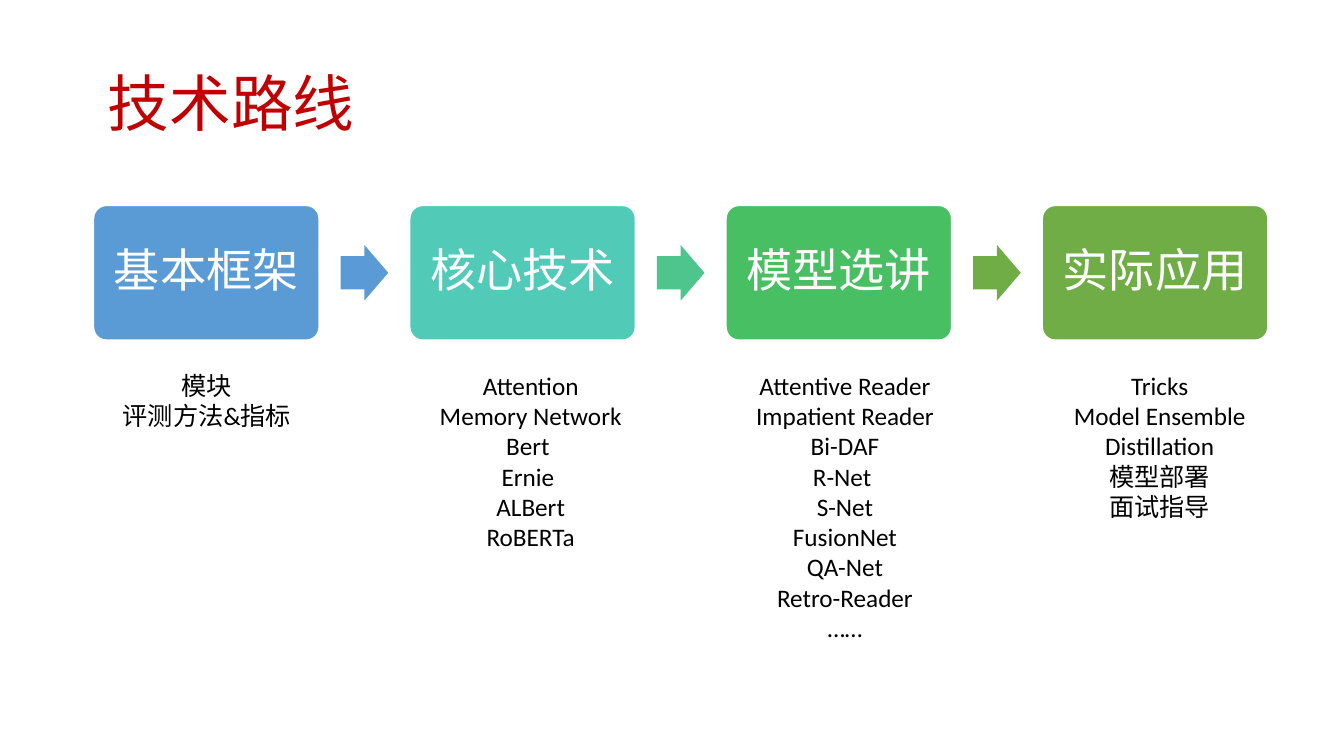
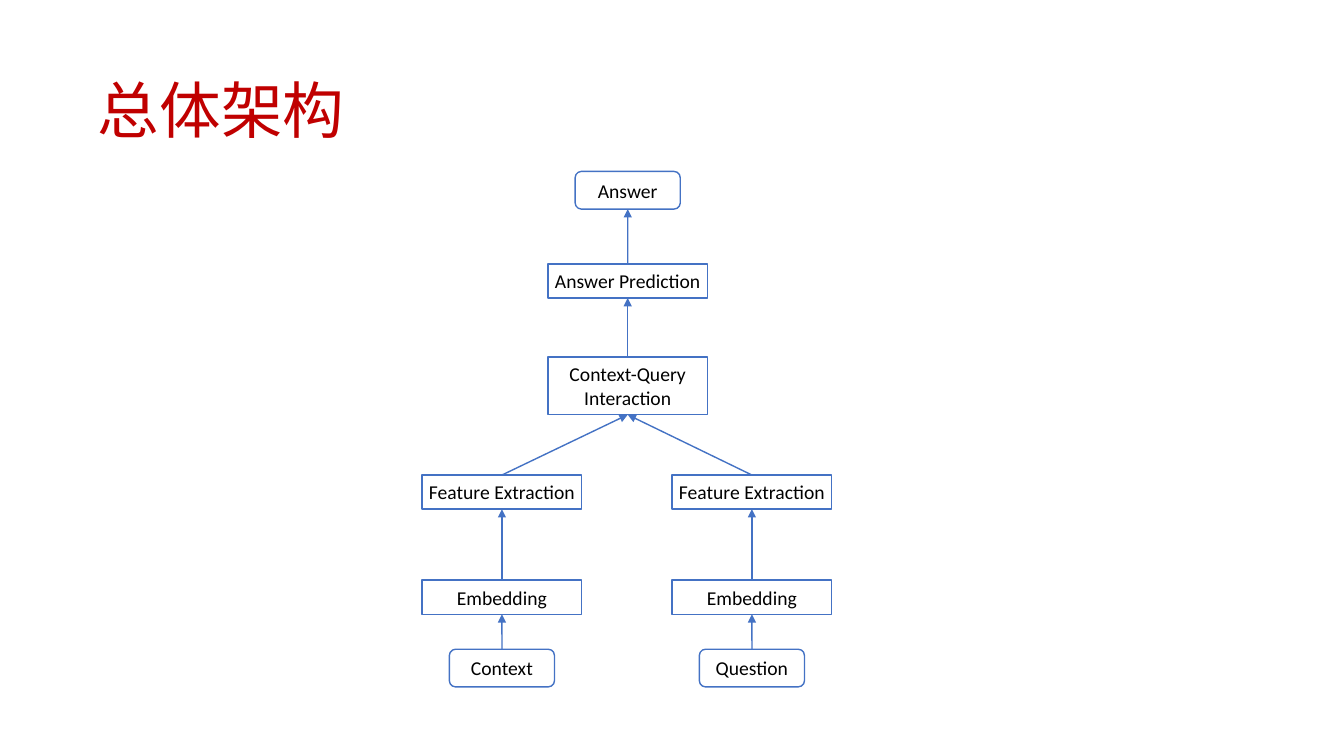
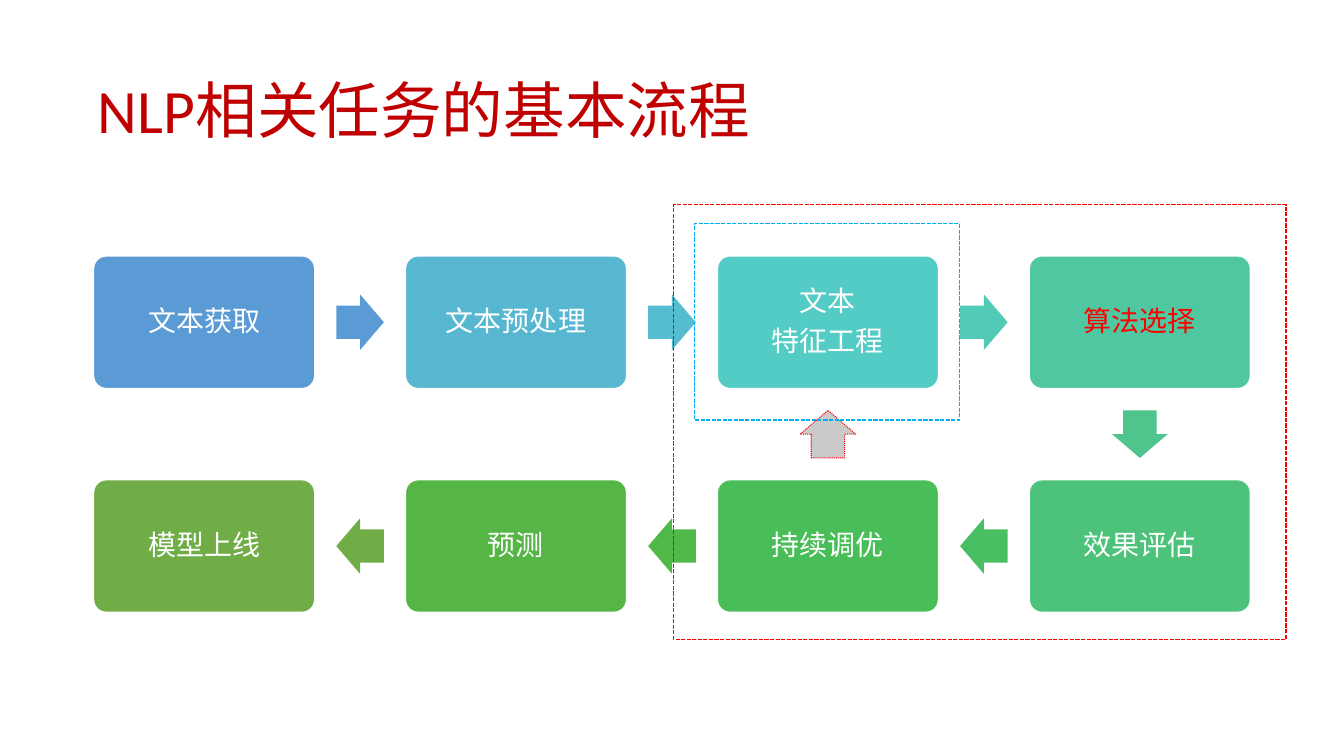
from math import atan2, degrees

from lxml import etree
from pptx import Presentation
from pptx import util as u
from pptx.dml.color import RGBColor
from pptx.enum import dml, shapes, text
from pptx.oxml.ns import qn

FONT = "Calibri"
RED = "C00000"
WHITE = "FFFFFF"
BLACK = "000000"
BLUE = "4472C4"
ROUND = shapes.MSO_SHAPE.ROUNDED_RECTANGLE
RECT = shapes.MSO_SHAPE.RECTANGLE
ARROW = shapes.MSO_SHAPE.RIGHT_ARROW
LEFT, MID = text.PP_ALIGN.LEFT, text.PP_ALIGN.CENTER
DASH, DOT = dml.MSO_LINE.SQUARE_DOT, dml.MSO_LINE.ROUND_DOT


def paint(part, hue):
    part.solid()
    part.fore_color.rgb = RGBColor.from_string(hue)


def write(shape, lines, size, hue, align=MID, anchor=text.MSO_ANCHOR.MIDDLE,
          pad=0.13, pitch=None, gap=0):
    frame = shape.text_frame
    frame.word_wrap = True
    frame.vertical_anchor = anchor
    frame.margin_left = frame.margin_right = u.Cm(pad)
    frame.margin_top = frame.margin_bottom = u.Cm(pad)
    for i, line in enumerate(lines):
        para = frame.add_paragraph() if i else frame.paragraphs[0]
        para.text = line
        para.alignment = align
        para.font.name = FONT
        para.font.size = u.Pt(size)
        para.font.color.rgb = RGBColor.from_string(hue)
        if pitch:
            para.line_spacing = pitch
        if i and gap:
            para.space_before = u.Pt(gap)


def draw(slide, kind, box, fill=None, line=None, width=1, dash=None):
    shape = slide.shapes.add_shape(kind, *map(u.Cm, box))
    shape.shadow.inherit = False
    if fill:
        paint(shape.fill, fill)
    else:
        shape.fill.background()
    if line:
        paint(shape.line.fill, line)
        shape.line.width = u.Pt(width)
        if dash:
            shape.line.dash_style = dash
    else:
        shape.line.fill.background()
    return shape


def label(slide, box, lines, size, hue, **style):
    area = slide.shapes.add_textbox(*map(u.Cm, box))
    write(area, lines, size, hue, **style)


def start(deck, title, left=2.34, top=1.02):
    slide = deck.slides.add_slide(deck.slide_layouts[6])
    label(slide, (left, top, 29.2, 3.68), [title], 44, RED,
          align=LEFT, pitch=0.9)
    return slide


def step(slide, box, lines, fill, size, pad, hue=WHITE):
    card = draw(slide, ROUND, box, fill, WHITE, 2)
    card.adjustments[0] = 0.1
    write(card, lines, size, hue, pad=pad, pitch=0.9, gap=size * 0.35)


def point(slide, first, last, fill, **style):
    wide, high = 1.2, 1.4
    (ax, ay), (bx, by) = [(x + w / 2, y + h / 2)
                          for x, y, w, h in (first, last)]
    box = ((ax + bx - wide) / 2, (ay + by - high) / 2, wide, high)
    arrow = draw(slide, ARROW, box, fill, **style)
    arrow.adjustments[0] = 0.6
    arrow.rotation = degrees(atan2(by - ay, bx - ax))


def chain(slide, boxes, hues):
    for first, last, hue in zip(boxes, boxes[1:], hues):
        point(slide, first, last, hue)


def link(slide, low, high):
    line = slide.shapes.add_connector(shapes.MSO_CONNECTOR.STRAIGHT, 0, 0, 0, 0)
    line.begin_connect(low, 0)
    line.end_connect(high, 2)
    paint(line.line.fill, BLUE)
    line.line.width = u.Pt(1)
    props = line._element.spPr
    etree.SubElement(props.find(qn("a:ln")), qn("a:tailEnd"), type="triangle")
    etree.SubElement(props, qn("a:effectLst"))


def route(deck):
    slide = start(deck, "技术路线", 2.59, 0.84)
    steps = [
        ("基本框架", "5B9BD5", 2.79, ["模块", "评测方法&指标"]),
        ("核心技术", "52CAB8", 10.95,
         ["Attention", "Memory Network", "Bert ", "Ernie ", "ALBert", "RoBERTa"]),
        ("模型选讲", "49BF64", 18.87,
         ["Attentive Reader", "Impatient Reader", "Bi-DAF", "R-Net ", "S-Net",
          "FusionNet", "QA-Net", "Retro-Reader", "……"]),
        ("实际应用", "70AD47", 26.8,
         ["Tricks", "Model Ensemble", "Distillation", "模型部署", "面试指导"]),
    ]
    boxes = [(2.34 + 7.97 * i, 5.16, 5.72, 3.43) for i in range(len(steps))]
    for box, (name, fill, left, items) in zip(boxes, steps):
        step(slide, box, [name], fill, 33, 0.35)
        label(slide, (left, 9.2, 4.85, 0.26 + 0.77 * len(items)), items, 18,
              BLACK, anchor=text.MSO_ANCHOR.TOP)
    chain(slide, boxes, ["5B9BD5", "4DC58D", "70AD47"])


def frame(deck):
    slide = start(deck, "总体架构")

    def node(name, axis, top, kind=RECT, wide=4.02, high=0.86):
        box = draw(slide, kind, (axis - wide / 2, top, wide, high), WHITE, BLUE)
        write(box, [name], 14, BLACK)
        return box

    def pill(name, axis, top):
        return node(name, axis, top, ROUND, 2.65, 0.95)

    mix = node("Context-Query Interaction", 15.82, 9, high=1.45)
    guess = node("Answer Prediction", 15.82, 6.65)
    pairs = [(mix, guess), (guess, pill("Answer", 15.82, 4.32))]
    for name, axis in (("Context", 12.65), ("Question", 18.95)):
        stack = [pill(name, axis, 16.36), node("Embedding", axis, 14.62),
                 node("Feature Extraction", axis, 11.97), mix]
        pairs += zip(stack, stack[1:])
    for low, high in pairs:
        link(slide, low, high)


def flow(deck):
    slide = start(deck, "NLP相关任务的基本流程")
    steps = [
        (["文本获取"], "5B9BD5"), (["文本预处理"], "57B7D1"),
        (["文本", "特征工程"], "53CCC5"), (["算法选择"], "4FC7A0"),
        (["效果评估"], "4CC27B"), (["持续调优"], "48BD58"),
        (["预测"], "55B646"), (["模型上线"], "70AD47"),
    ]
    cells = [(i, 0) for i in range(4)] + [(i, 1) for i in reversed(range(4))]
    boxes = [(2.34 + 7.86 * col, 6.43 + 5.64 * row, 5.61, 3.38)
             for col, row in cells]
    for box, (lines, fill) in zip(boxes, steps):
        hue = "FF0000" if lines == ["算法选择"] else WHITE
        step(slide, box, lines, fill, 20, 0.2, hue)
    chain(slide, boxes, ["5B9BD5", "56BCD0", "52CAB8", "4DC58D",
                         "49BF64", "50B846", "70AD47"])
    point(slide, boxes[5], boxes[2], "CACACA", line="FF0000", width=0.75,
          dash=DOT)
    draw(slide, RECT, (17.5, 5.64, 6.68, 4.95), line="00B0F0", dash=DASH)
    draw(slide, RECT, (16.97, 5.16, 15.44, 10.95), line="FF0000", dash=DASH)


def main():
    deck = Presentation()
    deck.slide_width, deck.slide_height = u.Cm(33.87), u.Cm(19.05)
    for build in (route, frame, flow):
        build(deck)
    deck.save("out.pptx")


if __name__ == "__main__":
    main()
